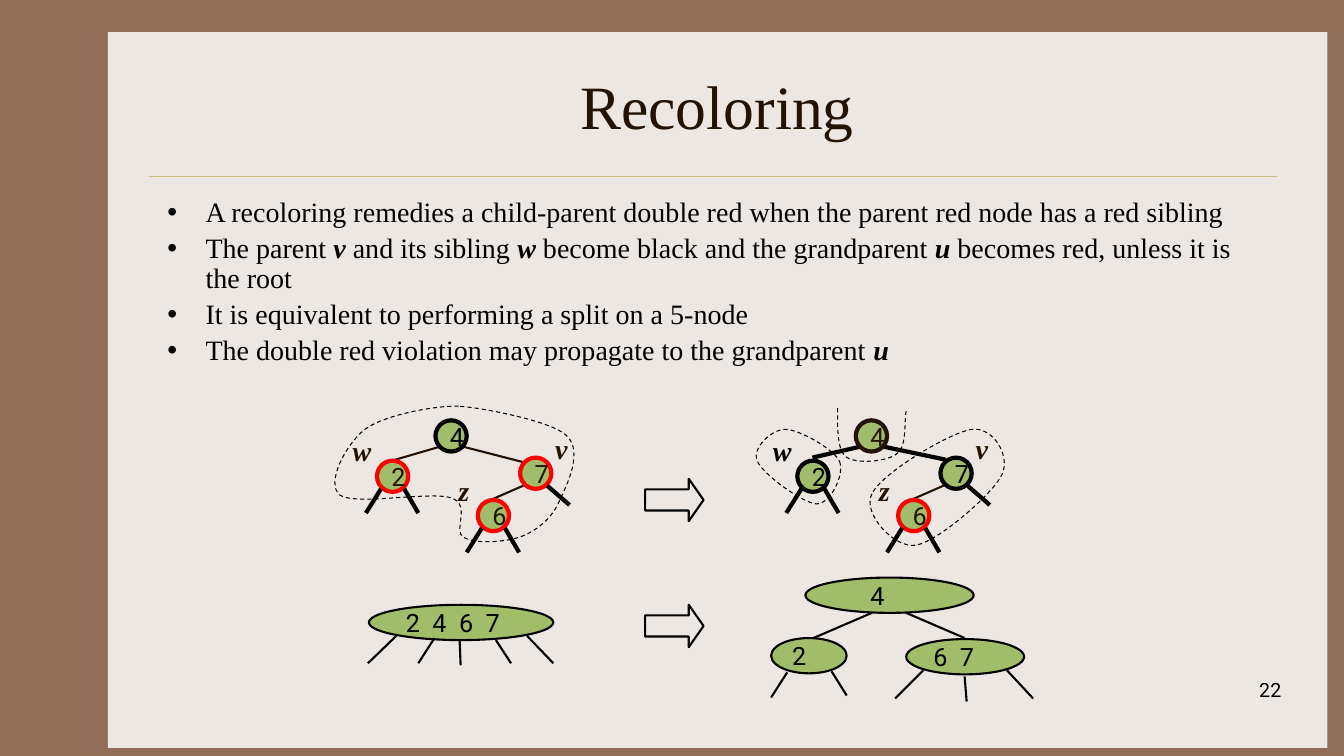
"""Build the slide on recoloring in red-black trees."""
import lxml.etree
import pptx
import pptx.dml.color
import pptx.enum.dml
import pptx.enum.shapes
import pptx.enum.text
import pptx.oxml.ns
import pptx.util

RGBColor = pptx.dml.color.RGBColor
Inches = pptx.util.Inches
Pt = pptx.util.Pt
Shape = pptx.enum.shapes.MSO_SHAPE
Align = pptx.enum.text.PP_ALIGN
Anchor = pptx.enum.text.MSO_ANCHOR
qn = pptx.oxml.ns.qn

BROWN = RGBColor(0x90, 0x6D, 0x58)
CREAM = RGBColor(0xED, 0xE7, 0xE3)
GOLD = RGBColor(0xCB, 0xBD, 0x83)
DARK = RGBColor(0x22, 0x13, 0x04)
BLACK = RGBColor(0, 0, 0)
RED = RGBColor(0xFF, 0, 0)
GREEN = RGBColor(0xA1, 0xBD, 0x69)
SERIF = "Times New Roman"
SANS = "Roboto"
NODE_SIZE = 0.31
TREE_SHIFT = 4.17

BULLETS = [
    "A recoloring remedies a child-parent double red when the parent red node has a red sibling",
    "The parent *v* and its sibling *w* become black and the grandparent *u* becomes red, unless it is the root",
    "It is equivalent to performing a split on a 5-node",
    "The double red violation may propagate to the grandparent *u*",
]

BEFORE_GROUP = [
    (4.55, 4.03),
    (4.35, 4.02), (3.82, 4.11), (3.62, 4.26),
    (3.43, 4.41), (3.23, 4.79), (3.37, 4.91),
    (3.52, 5.02), (4.27, 4.87), (4.48, 4.94),
    (4.68, 5.01), (4.49, 5.27), (4.6, 5.33),
    (4.72, 5.4), (5.02, 5.38), (5.18, 5.32),
    (5.33, 5.26), (5.48, 5.14), (5.55, 4.97),
    (5.63, 4.8), (5.79, 4.48), (5.62, 4.32),
    (5.46, 4.17), (4.75, 4.04), (4.55, 4.03),
]
CHILD_GROUP = [
    (8.65, 4.9),
    (8.55, 5.09), (8.87, 5.44), (9.08, 5.41),
    (9.3, 5.38), (9.85, 4.9), (9.94, 4.71),
    (10.03, 4.52), (9.85, 4.23), (9.64, 4.26),
    (9.42, 4.29), (8.74, 4.7), (8.65, 4.9),
]
ROOT_GROUP = [
    (8.31, 4.05),
    (8.31, 4.2), (8.3, 4.46), (8.39, 4.53),
    (8.49, 4.61), (8.81, 4.58), (8.9, 4.5),
    (9, 4.43), (8.97, 4.17), (8.99, 4.08),
]
SIBLING_GROUP = [
    (8.33, 4.58),
    (8.38, 4.71), (8.24, 5), (8.1, 5),
    (7.96, 4.99), (7.56, 4.7), (7.51, 4.57),
    (7.46, 4.45), (7.65, 4.26), (7.79, 4.26),
    (7.93, 4.26), (8.28, 4.46), (8.33, 4.58),
]


class RecoloringSlide:
    """Hold the current slide and draw each kind of element in its style."""

    def __init__(self, presentation):
        self.slide = presentation.slides.add_slide(presentation.slide_layouts[1])
        self.slide.background.fill.solid()
        self.slide.background.fill.fore_color.rgb = BROWN

    def style(self, font, size, color, name=SERIF, emphasis=None):
        font.size, font.name, font.color.rgb = Pt(size), name, color
        font.bold = font.italic = emphasis

    def shape(self, kind, box, fill=None, line=None, width=1.5):
        shape = self.slide.shapes.add_shape(kind, *map(Inches, box))
        shape.shadow.inherit = False
        if fill is None:
            shape.fill.background()
        else:
            shape.fill.solid()
            shape.fill.fore_color.rgb = fill
        if line is None:
            shape.line.fill.background()
        else:
            shape.line.color.rgb = line
            shape.line.width = Pt(width)
        return shape

    def line(self, start, end, color=BLACK, width=1.5):
        connector = self.slide.shapes.add_connector(
            pptx.enum.shapes.MSO_CONNECTOR.STRAIGHT, *map(Inches, start + end))
        connector.line.color.rgb = color
        connector.line.width = Pt(width)
        lxml.etree.SubElement(connector.element.spPr, qn("a:effectLst"))

    def placeholder(self, index, box, anchor):
        shape = self.slide.placeholders[index]
        shape.element.getparent().append(shape.element)
        shape.left, shape.top, shape.width, shape.height = map(Inches, box)
        frame = shape.text_frame
        frame.auto_size = pptx.enum.text.MSO_AUTO_SIZE.NONE
        frame.vertical_anchor = anchor
        return frame

    def title(self, text, box):
        frame = self.placeholder(0, box, Anchor.MIDDLE)
        frame.text = text
        frame.paragraphs[0].alignment = Align.CENTER
        self.style(frame.paragraphs[0].runs[0].font, 44, DARK)

    def bullets(self, items, box):
        frame = self.placeholder(1, box, Anchor.TOP)
        frame.text = "\n".join(items)
        for index, (paragraph, item) in enumerate(zip(frame.paragraphs, items)):
            properties = paragraph._p.get_or_add_pPr()
            properties.set("marL", str(Inches(0.38)))
            properties.set("indent", str(-Inches(0.38)))
            lxml.etree.SubElement(properties, qn("a:buChar"), char="•")
            paragraph.line_spacing = 0.9
            paragraph.space_before = Pt(4 if index else 0)
            paragraph.text = ""
            for position, part in enumerate(item.split("*")):
                if part:
                    run = paragraph.add_run()
                    run.text = part
                    self.style(run.font, 20, BLACK, emphasis=position % 2 == 1)

    def label(self, text, box, size, color, name=SERIF, emphasis=None, align=Align.LEFT):
        frame = self.slide.shapes.add_textbox(*map(Inches, box)).text_frame
        frame.word_wrap = True
        frame.text = text
        frame.paragraphs[0].alignment = align
        self.style(frame.paragraphs[0].runs[0].font, size, color, name, emphasis)

    def node(self, text, box, line=BLACK, color=BLACK, width=1.5, inset=0.1):
        frame = self.shape(Shape.OVAL, box, GREEN, line, width).text_frame
        frame.word_wrap = False
        frame.vertical_anchor = Anchor.MIDDLE
        frame.margin_left = Inches(inset)
        frame.text = text
        frame.paragraphs[0].alignment = Align.LEFT
        self.style(frame.paragraphs[0].runs[0].font, 18, color, SANS)

    def tree(self, shift, lift, edge_color, edge_width, colors, sibling_color):
        for start, end, color, width in [
            ((4.59, 4.43), (5.21, 4.59 - lift), edge_color, edge_width),
            ((4.37, 4.43), (3.89, 4.57 - lift), edge_color, edge_width),
            ((5.21, 4.81), (4.89, 4.95), DARK, 1.5),
        ]:
            self.line((start[0] + shift, start[1]), (end[0] + shift, end[1]), color, width)
        left_leg = ((0.04, 0.28), (-0.11, 0.52))
        right_leg = ((0.27, 0.28), (0.41, 0.52))
        long_leg = ((0.27, 0.28), (0.49, 0.47))
        for (text, x, y, legs), (outline, color) in zip([
            ("4", 4.32, 4.17, []),
            ("2", 3.74, 4.57, [left_leg, right_leg]),
            ("7", 5.16, 4.54, [long_leg]),
            ("6", 4.74, 4.96, [left_leg, right_leg]),
        ], colors):
            x += shift
            self.node(text, (x, y, NODE_SIZE, NODE_SIZE), outline, color, 3)
            for start, end in legs:
                self.line((x + start[0], y + start[1]), (x + end[0], y + end[1]), BLACK, 3)
        for text, x, y, width, color in [
            ("w", 3.4, 4.25, 0.42, sibling_color),
            ("v", 5.41, 4.23, 0.34, DARK),
            ("z", 4.45, 4.65, 0.37, DARK),
        ]:
            self.label(text, (x + shift, y, width, 0.43), 20, color, emphasis=True)

    def dashed_curve(self, points):
        corners = [tuple(map(Inches, point)) for point in points]
        builder = self.slide.shapes.build_freeform(*corners[0])
        builder.add_line_segments(corners[1:], close=points[0] == points[-1])
        shape = builder.convert_to_shape()
        segments = list(shape.element.iter(qn("a:lnTo")))
        for index in range(0, len(points) - 1, 3):
            first = segments[index]
            curve = lxml.etree.Element(qn("a:cubicBezTo"))
            first.addprevious(curve)
            for segment in segments[index:index + 3]:
                curve.append(segment[0])
                segment.getparent().remove(segment)
        shape.shadow.inherit = False
        shape.fill.background()
        shape.line.color.rgb = BLACK
        shape.line.width = Pt(0.75)
        shape.line.dash_style = pptx.enum.dml.MSO_LINE.DASH


def main():
    presentation = pptx.Presentation()
    presentation.slide_width, presentation.slide_height = Inches(40 / 3), Inches(7.5)
    page = RecoloringSlide(presentation)
    page.shape(Shape.RECTANGLE, (1.07, 0.32, 12.1, 7.1), CREAM)
    page.line((1.48, 1.75), (12.67, 1.75), GOLD, 0.25)
    page.title("Recoloring", (1.56, 0.42, 11.11, 1.25))
    page.bullets(BULLETS, (1.56, 1.92, 11.11, 4.5))
    page.label("22", (10.03, 6.68, 2.78, 0.5), 14, BLACK, SANS, align=Align.RIGHT)

    red_node, black_node, dark_node = (RED, DARK), (BLACK, BLACK), (DARK, DARK)
    page.tree(0, 0, DARK, 1.5, [black_node, red_node, red_node, red_node], DARK)
    page.tree(TREE_SHIFT, 0.03, BLACK, 3, [dark_node, black_node, black_node, red_node], BLACK)
    for group in (BEFORE_GROUP, CHILD_GROUP, ROOT_GROUP, SIBLING_GROUP):
        page.dashed_curve(group)

    page.node("2  4  6  7", (3.66, 6, 1.83, 0.35))
    page.node("4", (7.99, 5.73, 1.67, 0.35), inset=0.4)
    page.node("2", (7.65, 6.33, 0.75, 0.35))
    page.node("6  7", (8.99, 6.34, 1.17, 0.35))
    for start, end in [
        ((3.93, 6.31), (3.65, 6.58)), ((4.31, 6.33), (4.15, 6.58)),
        ((4.56, 6.35), (4.57, 6.6)), ((4.92, 6.35), (5.07, 6.58)),
        ((5.23, 6.31), (5.49, 6.58)), ((8.65, 6.08), (8.07, 6.33)),
        ((8.99, 6.08), (9.57, 6.33)), ((7.81, 6.67), (7.65, 6.92)),
        ((8.25, 6.66), (8.4, 6.9)), ((9.16, 6.65), (8.88, 6.93)),
        ((9.57, 6.71), (9.59, 6.96)), ((9.99, 6.65), (10.25, 6.93)),
    ]:
        page.line(start, end)
    for top in (4.75, 6):
        arrow = page.shape(Shape.RIGHT_ARROW, (6.4, top, 0.58, 0.42), line=BLACK)
        arrow.adjustments[1] = 0.35
    presentation.save("out.pptx")


if __name__ == "__main__":
    main()
